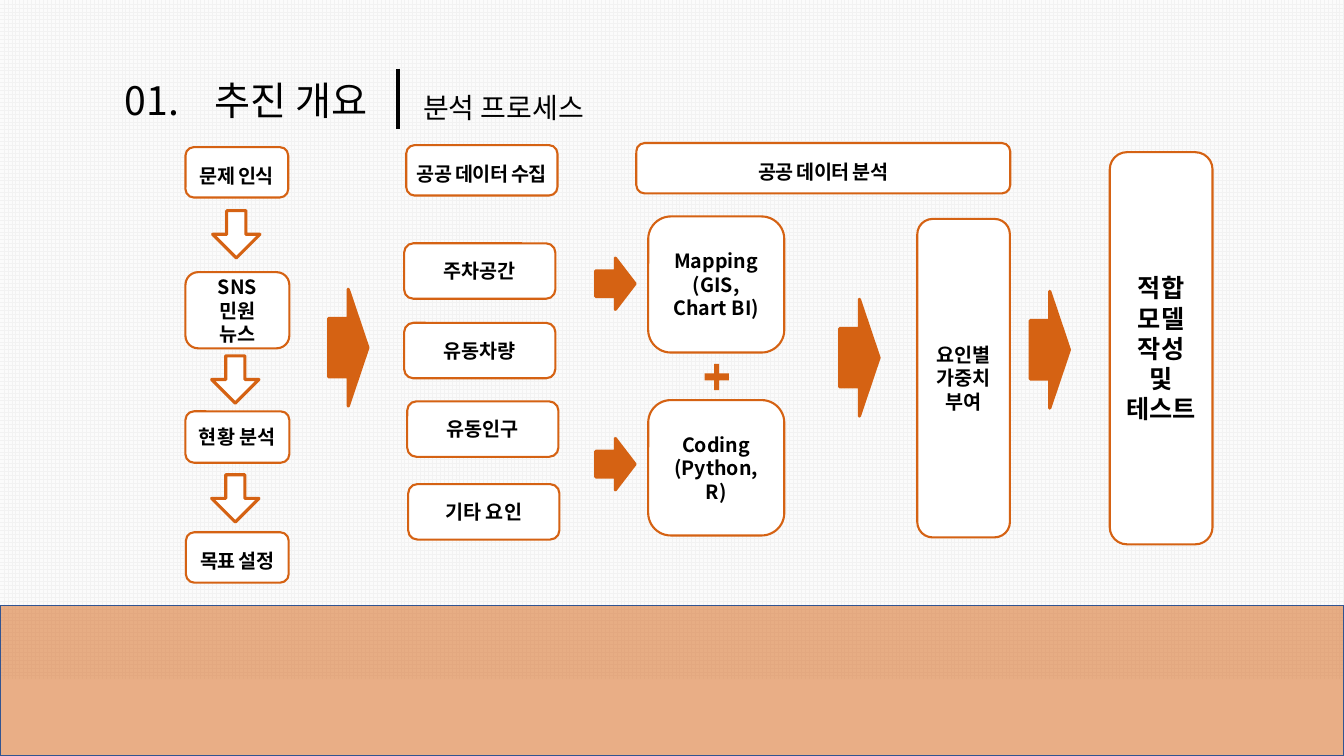
"""Build the analysis process slide with its flow of boxes and arrows."""
from lxml.etree import SubElement
from pptx import Presentation
from pptx.dml.color import RGBColor
from pptx.enum.dml import MSO_PATTERN
from pptx.enum.shapes import MSO_CONNECTOR, MSO_SHAPE
from pptx.enum.text import MSO_ANCHOR, MSO_AUTO_SIZE, PP_ALIGN
from pptx.oxml.ns import qn
from pptx.util import Pt

ORANGE = RGBColor(0xD5, 0x62, 0x13)
WHITE = RGBColor(0xFF, 0xFF, 0xFF)
BLACK = RGBColor(0x00, 0x00, 0x00)
NAVY = RGBColor(0x32, 0x54, 0x91)
GRID_LINE = RGBColor(0xF2, 0xF2, 0xF2)
GRID_PAPER = RGBColor(0xFB, 0xFB, 0xFB)
FONT = "Noto Sans CJK KR"


def add_figure(kind, place, fill, line, line_width):
    shape = slide.shapes.add_shape(kind, *[Pt(length) for length in place])
    shape.shadow.inherit = False
    shape.fill.solid()
    shape.fill.fore_color.rgb = fill
    if line_width:
        shape.line.color.rgb = line
        shape.line.width = Pt(line_width)
    else:
        shape.line.fill.background()
    return shape


def write_text(shape, text, size, bold, alignment, anchor, spacing=1.2):
    frame = shape.text_frame
    frame.text = text
    frame.word_wrap = True
    frame.vertical_anchor = anchor
    for paragraph in frame.paragraphs:
        paragraph.alignment = alignment
        paragraph.line_spacing = Pt(size * spacing)
        for run in paragraph.runs:
            run.font.size = Pt(size)
            run.font.bold = bold
            run.font.color.rgb = BLACK
            run.font.name = FONT
            SubElement(run.font._element, qn("a:ea"), typeface=FONT)


presentation = Presentation()
presentation.slide_width = Pt(960)
presentation.slide_height = Pt(540)
slide = presentation.slides.add_slide(presentation.slide_layouts[5])

grid = add_figure(MSO_SHAPE.RECTANGLE, (0, 0, 960, 485.3), WHITE, WHITE, 0)
grid.fill.patterned()
grid.fill.pattern = MSO_PATTERN.LARGE_GRID
grid.fill.fore_color.rgb = GRID_LINE
grid.fill.back_color.rgb = GRID_PAPER

band = add_figure(MSO_SHAPE.RECTANGLE, (0, 432.5, 960, 107.5), ORANGE, NAVY, 1)
band_color = band.element.spPr.find(qn("a:solidFill")).find(qn("a:srgbClr"))
SubElement(band_color, qn("a:alpha"), val="51000")

title = slide.shapes.title
band.element.addnext(title.element)
number = slide.shapes.add_textbox(0, 0, 0, 0)
subtitle = slide.shapes.add_textbox(0, 0, 0, 0)
headings = [
    (title, "추진 개요", 28, 1.2, (146.2, 51.1, 236.9, 41.2)),
    (number, "01.", 28, 1.2, (82.1, 51.1, 64.8, 41.2)),
    (subtitle, "분석 프로세스", 20, 1.8, (295.2, 49, 342.7, 40.3)),
]
for heading, text, size, spacing, place in headings:
    heading.left, heading.top, heading.width, heading.height = [Pt(length) for length in place]
    write_text(heading, text, size, False, PP_ALIGN.LEFT, MSO_ANCHOR.TOP, spacing)
    heading.text_frame.auto_size = MSO_AUTO_SIZE.SHAPE_TO_FIT_TEXT

divider = slide.shapes.add_connector(MSO_CONNECTOR.STRAIGHT, Pt(284.4), Pt(49), Pt(284.4), Pt(92.2))
divider.line.color.rgb = BLACK
divider.line.width = Pt(3)
SubElement(divider.element.spPr, qn("a:effectLst"))

label_boxes = [
    ("문제 인식", 132.5, 105.1, 73.4),
    ("목표 설정", 132.8, 380.2, 73.4),
    ("공공 데이터 수집", 290.2, 103.7, 108),
    ("공공 데이터 분석", 454.5, 102.2, 267.1),
]
for text, left, top, width in label_boxes:
    box = add_figure(MSO_SHAPE.ROUNDED_RECTANGLE, (left, top, width, 36), WHITE, ORANGE, 1.5)
    write_text(box, text, 14, True, PP_ALIGN.CENTER, MSO_ANCHOR.MIDDLE, 1.8)
    frame = box.text_frame
    frame.margin_left = frame.margin_top = frame.margin_right = 0
    frame.margin_bottom = Pt(3.6)
    frame.paragraphs[0].runs[0].font._element.set("spc", "-50")

step_boxes = [
    ("SNS\n민원\n뉴스", 14, (132.5, 194.4, 74.2, 54.4)),
    ("현황 분석", 14, (132.5, 293.8, 74.2, 36.7)),
    ("주차공간", 14, (288.7, 173.8, 108, 39.6)),
    ("유동차량", 14, (288.7, 230.6, 108, 39.6)),
    ("유동인구", 14, (290.9, 286.7, 108, 39.6)),
    ("기타 요인", 14, (291.6, 345.8, 108, 39.6)),
    ("Mapping\n(GIS,\nChart BI)", 14, (463, 154.6, 97.2, 97.2)),
    ("Coding\n(Python, R)", 14, (463, 285.8, 97.2, 96.7)),
    ("요인별\n가중치\n부여", 14, (655.2, 156.4, 66.2, 227.5)),
    ("적합\n모델\n작성\n및\n테스트", 18, (792.7, 108.7, 73.4, 280.1)),
]
for text, size, place in step_boxes:
    box = add_figure(MSO_SHAPE.ROUNDED_RECTANGLE, place, WHITE, ORANGE, 1.5)
    write_text(box, text, size, True, PP_ALIGN.CENTER, MSO_ANCHOR.MIDDLE)

for left, top in [(151.9, 150.5), (151.2, 254.2), (151.2, 339.1)]:
    down_arrow = add_figure(MSO_SHAPE.DOWN_ARROW, (left, top, 33.8, 33.8), WHITE, ORANGE, 2.25)
    down_arrow.adjustments[0] = 0.405

right_arrows = [
    (234.7, 206.6, 83.5),
    (425.5, 184.3, 36.7),
    (425.5, 313.2, 36.7),
    (599.8, 213.8, 83.5),
    (735.8, 208.1, 83.5),
]
for left, top, height in right_arrows:
    add_figure(MSO_SHAPE.RIGHT_ARROW, (left, top, 28.1, height), ORANGE, ORANGE, 2.25)

plus_sign = add_figure(MSO_SHAPE.CROSS, (503.3, 259.9, 17.3, 18.7), ORANGE, ORANGE, 0)
plus_sign.adjustments[0] = 0.394

presentation.save("out.pptx")
